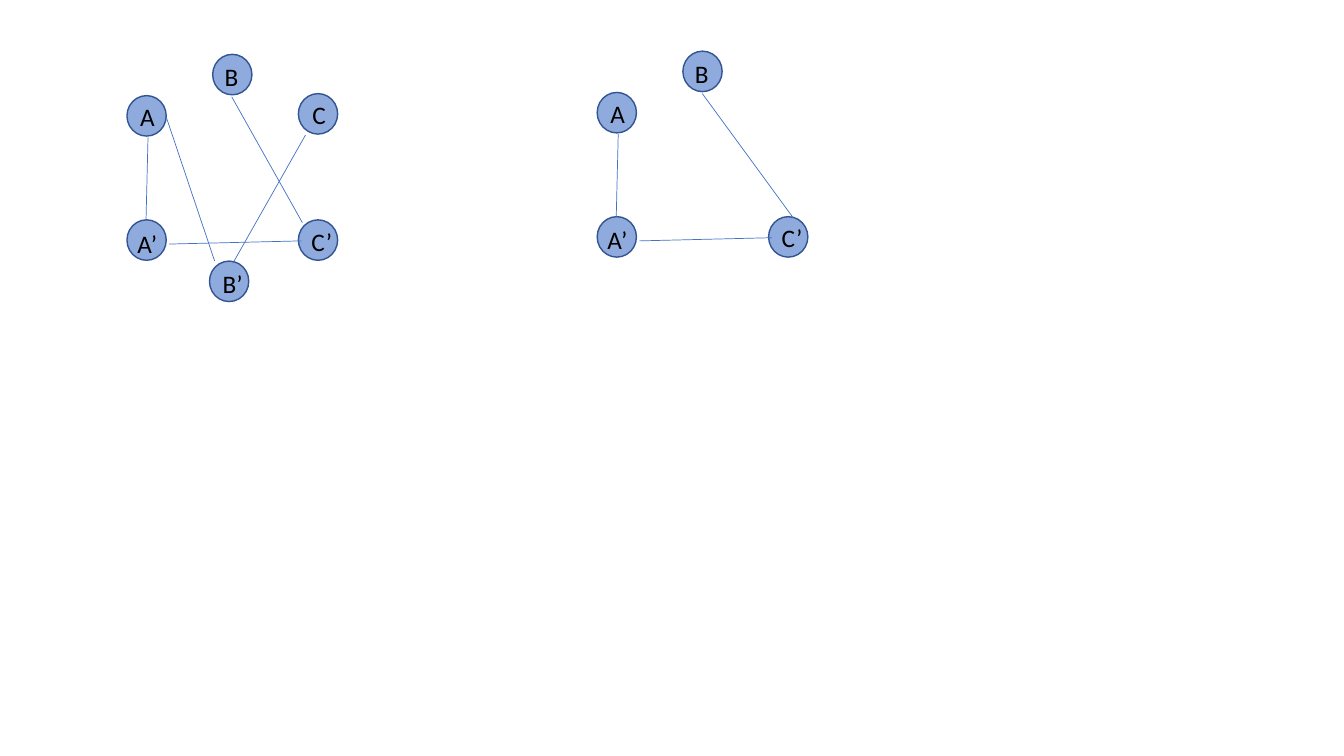
"""Draw a graph of paired nodes and, beside it, its reduced graph."""
import pptx
import pptx.dml.color
import pptx.enum.shapes
import pptx.enum.text
import pptx.util
from dataclasses import dataclass
from lxml import etree

Cm, Pt = pptx.util.Cm, pptx.util.Pt
RGB = pptx.dml.color.RGBColor.from_string


@dataclass(frozen=True)
class Theme:
    fill: str = "8FAADC"
    rim: str = "325491"
    edge: str = "4472C4"
    ink: str = "000000"
    font: str = "Calibri"
    size: float = 18
    rimwidth: float = 1
    edgewidth: float = 0.5


theme = Theme()
wide, high = 0.99, 1.02

spots = {
    "A": (3.2, 2.41),
    "B": (5.36, 1.37),
    "A’": (3.2, 5.54),
    "B’": (5.28, 6.58),
    "C’": (7.52, 5.54),
    "C": (7.52, 2.36),
}
labels = {
    "A": (0.08, 0.03, 0.89, True),
    "A’": (0.01, 0.08, 1.04, True),
    "B": (0.05, 0.05, 0.86, False),
    "B’": (0.08, 0.05, 1.02, False),
    "C": (0.1, 0.03, 0.76, True),
    "C’": (0.08, 0.03, 1.04, False),
}
base = (4.26, 6.15, 7.6, 6.07)
side = (3.73, 3.46, 3.68, 5.54)
graphs = [
    (0, 0, "A B A’ B’ C’ C".split(), [
        base,
        side,
        (5.84, 2.44, 7.62, 5.61),
        (5.87, 6.63, 7.7, 3.4),
        (4.19, 2.95, 5.41, 6.58),
    ]),
    (11.85, -0.08, "A B A’ C’".split(), [
        base,
        side,
        (5.85, 2.44, 8.14, 5.57),
    ]),
]

deck = pptx.Presentation()
deck.slide_width, deck.slide_height = Cm(33.87), Cm(19.05)
slide = deck.slides.add_slide(deck.slide_layouts[6])
shapes = slide.shapes

for dx, dy, names, edges in graphs:
    for name in names:
        x, y = spots[name]
        node = shapes.add_shape(
            pptx.enum.shapes.MSO_SHAPE.OVAL,
            Cm(x + dx), Cm(y + dy), Cm(wide), Cm(high))
        node.shadow.inherit = False
        node.fill.solid()
        node.fill.fore_color.rgb = RGB(theme.fill)
        node.line.color.rgb = RGB(theme.rim)
        node.line.width = Pt(theme.rimwidth)

    for name in names:
        x, y = spots[name]
        right, down, width, wrap = labels[name]
        box = shapes.add_textbox(
            Cm(x + dx + right), Cm(y + dy + down), Cm(width), Cm(high))
        frame = box.text_frame
        frame.word_wrap = wrap
        frame.auto_size = pptx.enum.text.MSO_AUTO_SIZE.SHAPE_TO_FIT_TEXT
        run = frame.paragraphs[0].add_run()
        run.text = name
        run.font.name = theme.font
        run.font.size = Pt(theme.size)
        run.font.color.rgb = RGB(theme.ink)

    for x1, y1, x2, y2 in edges:
        edge = shapes.add_connector(
            pptx.enum.shapes.MSO_CONNECTOR.STRAIGHT,
            Cm(x1 + dx), Cm(y1 + dy), Cm(x2 + dx), Cm(y2 + dy))
        edge.line.color.rgb = RGB(theme.edge)
        edge.line.width = Pt(theme.edgewidth)
        props = edge._element.spPr
        etree.SubElement(props, pptx.oxml.ns.qn("a:effectLst"))

deck.save("out.pptx")
